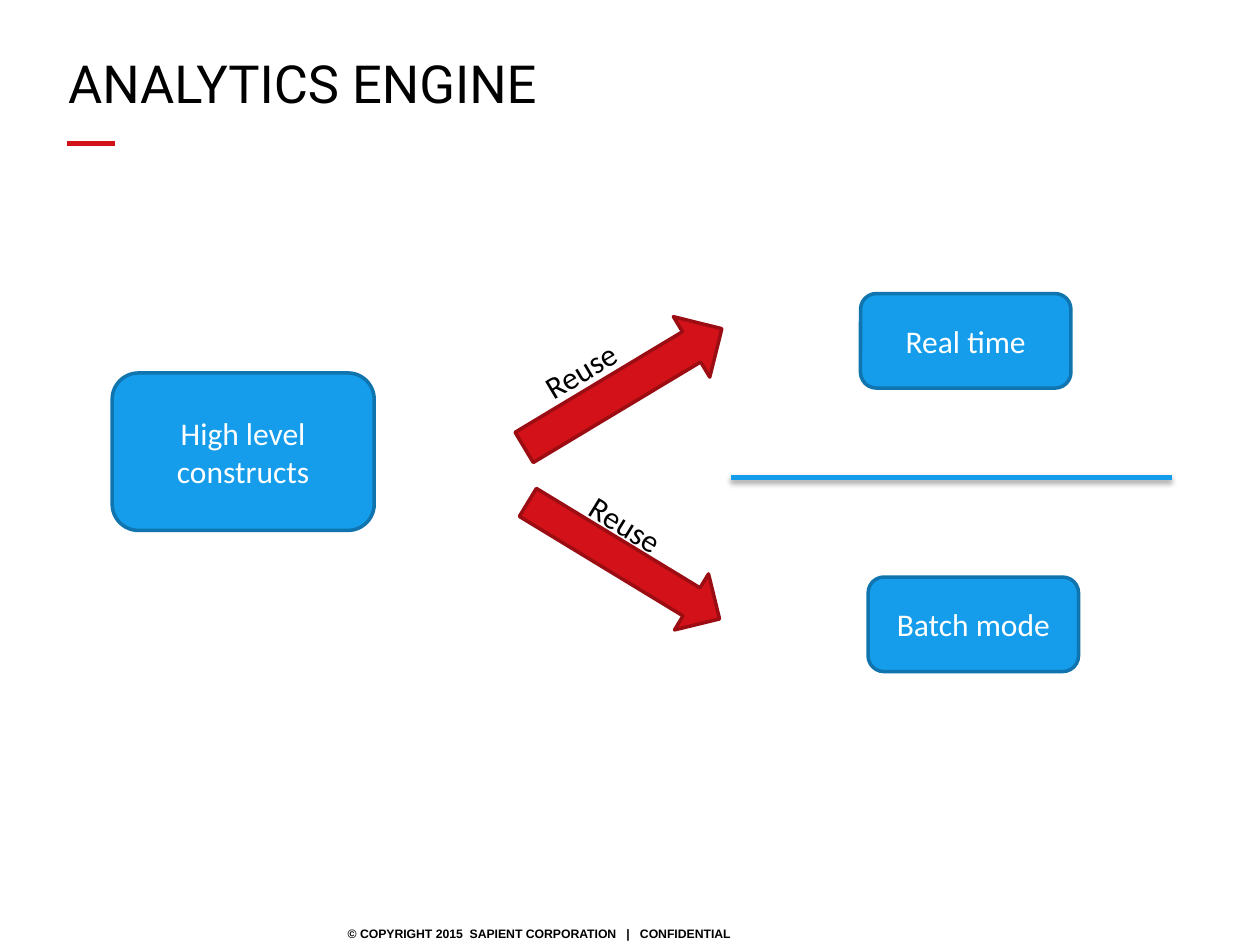
"""Build the analytics engine slide: shared constructs reused in real time and batch mode."""
from lxml.etree import SubElement
from pptx import Presentation
from pptx.dml.color import RGBColor
from pptx.enum.shapes import MSO_CONNECTOR, MSO_SHAPE
from pptx.enum.text import MSO_ANCHOR, MSO_AUTO_SIZE, PP_ALIGN
from pptx.oxml.ns import qn
from pptx.util import Inches, Pt

COLORS = {
    "red": "D21118",
    "dark red": "9B0D12",
    "blue": "159DEB",
    "dark blue": "1074AE",
    "black": "000000",
    "white": "FFFFFF",
}

presentation = Presentation()
presentation.slide_width = Inches(10)
presentation.slide_height = Inches(7.5)
COLUMN = presentation.slide_width / 100
ROW = presentation.slide_height / 75
slide = presentation.slides.add_slide(presentation.slide_layouts[5])


def grid(left, top, width, height):
    return [round(size * unit) for size, unit in zip((left, top, width, height), (COLUMN, ROW) * 2)]


def write(shape, text, font_name, size, color, alignment, anchor, margin=None, bold=False):
    frame = shape.text_frame
    frame.text = text
    frame.word_wrap = True
    frame.auto_size = MSO_AUTO_SIZE.NONE
    frame.vertical_anchor = anchor
    if margin is not None:
        frame.margin_left = frame.margin_right = frame.margin_top = frame.margin_bottom = margin
    paragraph = frame.paragraphs[0]
    paragraph.alignment = alignment
    font = paragraph.runs[0].font
    font.name, font.size, font.bold = font_name, Pt(size), bold
    font.color.rgb = RGBColor.from_string(COLORS[color])


title = slide.shapes.title
title.left, title.top, title.width, title.height = grid(5.4, 4.5, 89.3, 4.6)
write(title, "ANALYTICS ENGINE", "Roboto", 30, "black", PP_ALIGN.LEFT, MSO_ANCHOR.BOTTOM, margin=0)
title.text_frame.paragraphs[0].line_spacing = 0.9

footer = slide.shapes.add_textbox(*grid(27.6, 73.2, 31.4, 1.8))
write(footer, "© COPYRIGHT 2015  SAPIENT CORPORATION   |   CONFIDENTIAL", "Arial", 7, "black",
      PP_ALIGN.LEFT, MSO_ANCHOR.MIDDLE, margin=0, bold=True)

rules = [
    (5.3, 9.1, 11.4, "red", 2.75, False),
    (58, 93, 37.9, "blue", 3, True),
]
for start, end, level, color, weight, has_shadow in rules:
    left, top, right, bottom = grid(start, level, end, level)
    rule = slide.shapes.add_connector(MSO_CONNECTOR.STRAIGHT, left, top, right, bottom)
    rule.line.color.rgb = RGBColor.from_string(COLORS[color])
    rule.line.width = Pt(weight)
    effects = SubElement(rule._element.spPr, qn("a:effectLst"))
    if has_shadow:
        shadow = SubElement(effects, qn("a:outerShdw"), blurRad=str(Pt(3.1)), dist=str(Pt(1.8)),
                            dir="5400000", rotWithShape="0")
        shadow_color = SubElement(shadow, qn("a:srgbClr"), val=COLORS["black"])
        SubElement(shadow_color, qn("a:alpha"), val="35000")

arrow, box = MSO_SHAPE.RIGHT_ARROW, MSO_SHAPE.ROUNDED_RECTANGLE
diagram = [
    (arrow, (40.3, 28, 18.3, 5.6), 329, "red", ""),
    (arrow, (40.6, 41.9, 17.8, 5.2), 31.3, "red", ""),
    (box, (68.3, 23.3, 16.7, 7.5), 0, "blue", "Real time"),
    (box, (68.9, 45.8, 16.7, 7.5), 0, "blue", "Batch mode"),
    (box, (8.9, 29.6, 20.8, 12.5), 0, "blue", "High level constructs"),
]
for kind, place, rotation, color, label in diagram:
    shape = slide.shapes.add_shape(kind, *grid(*place))
    shape.rotation = rotation
    shape.shadow.inherit = False
    shape.fill.solid()
    shape.fill.fore_color.rgb = RGBColor.from_string(COLORS[color])
    shape.line.color.rgb = RGBColor.from_string(COLORS["dark " + color])
    shape.line.width = Pt(2)
    if label:
        write(shape, label, "Calibri", 18, "white", PP_ALIGN.CENTER, MSO_ANCHOR.MIDDLE)

for place, rotation in [((37.3, 27.4, 17.5, 4), 329.2), ((43.1, 39.6, 13.1, 4), 31.7)]:
    reuse_label = slide.shapes.add_textbox(*grid(*place))
    reuse_label.rotation = rotation
    write(reuse_label, "Reuse", "Calibri", 18, "black", PP_ALIGN.CENTER, MSO_ANCHOR.TOP)

presentation.save("out.pptx")
